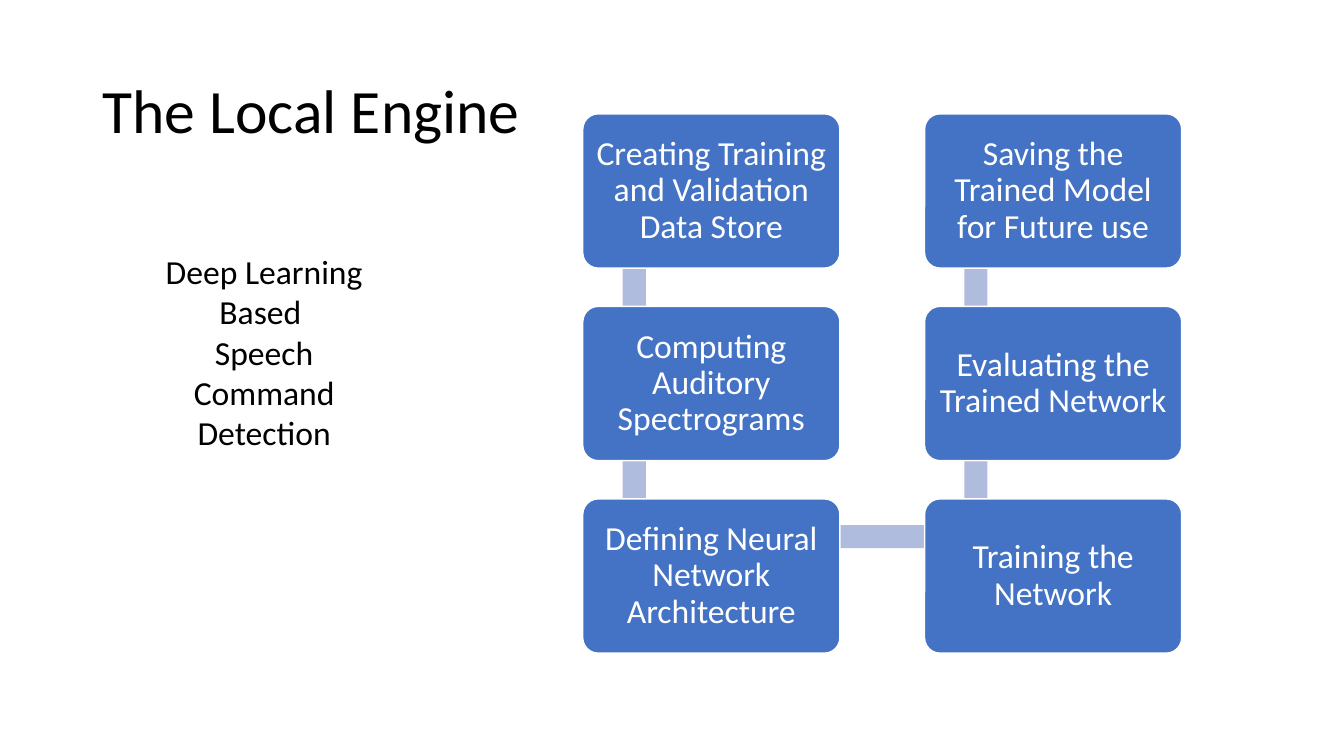
from dataclasses import dataclass
from typing import NamedTuple

from pptx import Presentation
from pptx.dml.color import RGBColor as Rgb
from pptx.enum.shapes import MSO_SHAPE as Shape
from pptx.enum.text import MSO_ANCHOR as Anchor, PP_ALIGN as Align
from pptx.util import Pt

PX = 9144


@dataclass(frozen=True)
class Theme:
    font: str = "Calibri"
    ink: Rgb = Rgb(0, 0, 0)
    white: Rgb = Rgb(255, 255, 255)
    blue: Rgb = Rgb(0x44, 0x72, 0xC4)
    pale: Rgb = Rgb(0xB0, 0xBC, 0xDE)
    head: int = 44
    body: int = 24


class Box(NamedTuple):
    x: int
    y: int
    w: int
    h: int

    def emu(self) -> list[int]:
        return [n * PX for n in self]


class Bar(NamedTuple):
    dx: int
    dy: int
    w: int
    turn: int


class Step(NamedTuple):
    label: str
    col: int
    row: int
    bar: Bar | None


THEME = Theme()
DOWN = Bar(-44, 121, 190, 90)
RIGHT = Bar(52, 26, 338, 0)
UP = Bar(-44, -70, 190, 270)
STEPS = [
    Step("Creating Training and Validation Data Store", 0, 0, DOWN),
    Step("Computing Auditory Spectrograms", 0, 1, DOWN),
    Step("Defining Neural Network Architecture", 0, 2, RIGHT),
    Step("Training the Network", 1, 2, UP),
    Step("Evaluating the Trained Network", 1, 1, UP),
    Step("Saving the Trained Model for Future use", 1, 0, None),
]


def write(frame, lines: list[str], size: int, color: Rgb, align: Align, pitch: float) -> None:
    frame.word_wrap = True
    for i, line in enumerate(lines):
        para = frame.paragraphs[0] if i == 0 else frame.add_paragraph()
        para.alignment = align
        para.line_spacing = pitch
        run = para.add_run()
        run.text = line
        run.font.name = THEME.font
        run.font.size = Pt(size)
        run.font.color.rgb = color


def block(slide, kind: Shape, box: Box, fill: Rgb):
    shape = slide.shapes.add_shape(kind, *box.emu())
    shape.shadow.inherit = False
    shape.fill.solid()
    shape.fill.fore_color.rgb = fill
    shape.line.fill.background()
    return shape


def draw(slide, step: Step) -> None:
    box = Box(578 + 339 * step.col, 113 + 191 * step.row, 255, 153)
    if step.bar:
        dx, dy, w, turn = step.bar
        bar = block(slide, Shape.RECTANGLE, Box(box.x + dx, box.y + dy, w, 23), THEME.pale)
        bar.rotation = turn
    card = block(slide, Shape.ROUNDED_RECTANGLE, box, THEME.blue)
    card.adjustments[0] = 0.1
    card.line.color.rgb = THEME.white
    card.line.width = Pt(1)
    frame = card.text_frame
    frame.margin_left = frame.margin_right = 9 * PX
    frame.margin_top = frame.margin_bottom = 10 * PX
    frame.vertical_anchor = Anchor.MIDDLE
    write(frame, [step.label], THEME.body, THEME.white, Align.CENTER, 0.9)


def main() -> None:
    """Build the slide on the steps of the local engine."""
    deck = Presentation()
    deck.slide_width, deck.slide_height = 1333 * PX, 750 * PX
    slide = deck.slides.add_slide(deck.slide_layouts[6])
    title = slide.shapes.add_textbox(*Box(92, 40, 1150, 145).emu()).text_frame
    title.vertical_anchor = Anchor.MIDDLE
    write(title, ["The Local Engine"], THEME.head, THEME.ink, Align.LEFT, 0.9)
    note = slide.shapes.add_textbox(*Box(134, 244, 256, 212).emu()).text_frame
    lines = ["Deep Learning Based ", "Speech Command Detection"]
    write(note, lines, THEME.body, THEME.ink, Align.CENTER, 1.0)
    for step in STEPS:
        draw(slide, step)
    deck.save("out.pptx")


if __name__ == "__main__":
    main()
